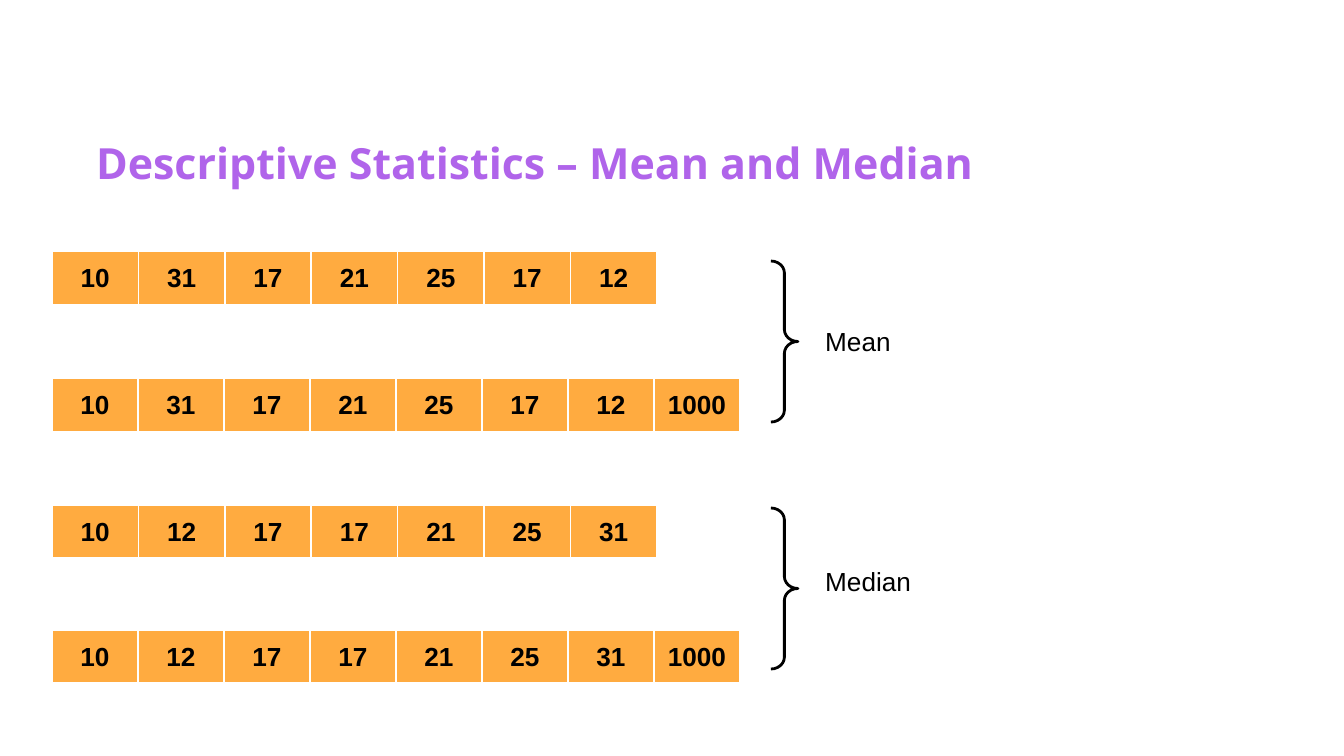
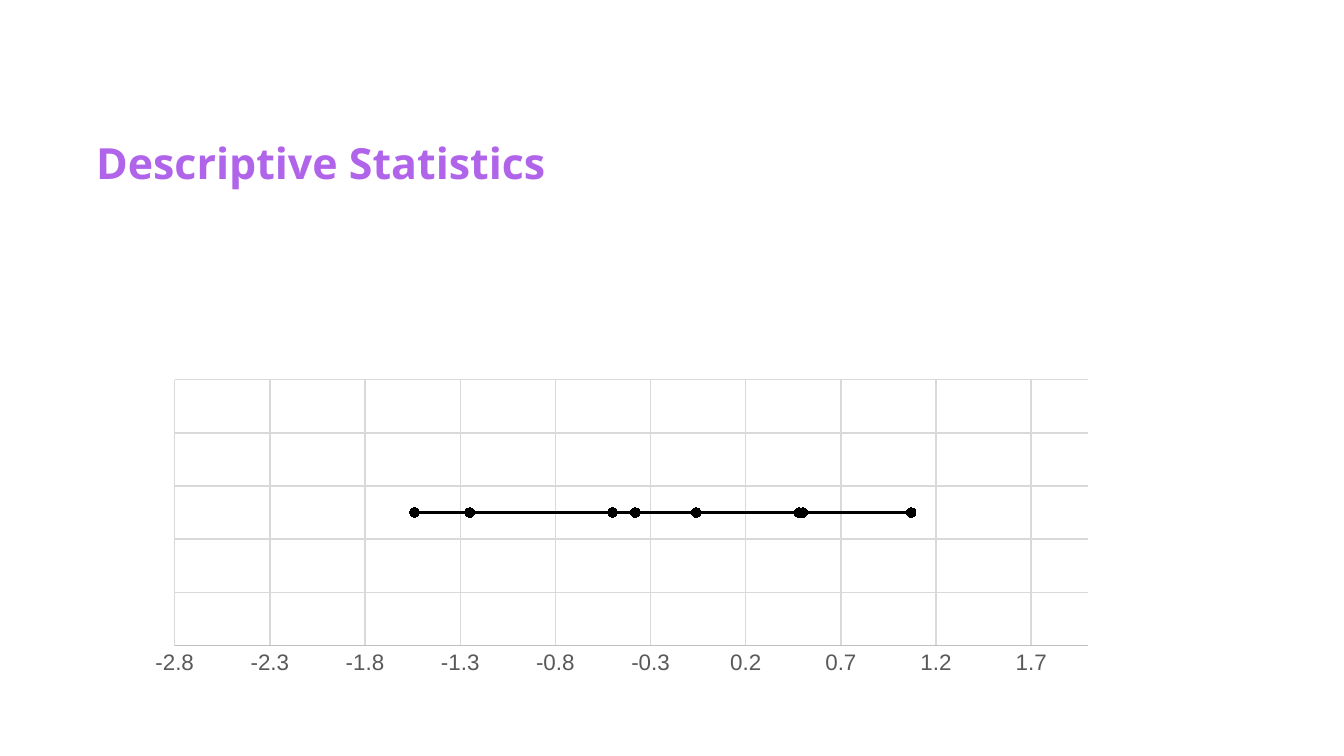
from lxml.etree import SubElement
from pptx import Presentation
from pptx.chart.data import XyChartData
from pptx.dml.color import RGBColor
from pptx.enum.chart import XL_CHART_TYPE, XL_MARKER_STYLE, XL_TICK_MARK
from pptx.enum.shapes import MSO_SHAPE
from pptx.enum.text import MSO_ANCHOR, MSO_AUTO_SIZE, PP_ALIGN
from pptx.oxml import parse_xml
from pptx.oxml.ns import nsdecls, qn
from pptx.util import Emu, Pt

COLORS = {"title": "B064EA", "cell": "FFAB40", "ink": "000000", "border": "FFFFFF",
          "grid": "D9D9D9", "axis": "BFBFBF", "tick": "595959"}

TITLES = ["Descriptive Statistics – Mean and Median", "Descriptive Statistics"]
SAMPLE = [10, 31, 17, 21, 25, 17, 12]
OUTLIER = 1000
ROWS = [
    (251, SAMPLE),
    (378, SAMPLE + [OUTLIER]),
    (505, sorted(SAMPLE)),
    (630, sorted(SAMPLE + [OUTLIER])),
]
ROW_LEFT, ROW_HEIGHT = 52, 55
ROW_WIDTHS = {7: 605, 8: 688}
BRACES = [("Mean", 261, 319, 93), ("Median", 508, 559, 113)]

X_VALUES = [-0.38, -1.25, 1.07, 0.5, -0.5, 0.5, 0.48, -0.06, -1.54]
Y_VALUE = 100
PLOT = {"x": 0.03, "y": 0.09, "w": 0.92, "h": 0.78}


def px(n):
    return Emu(round(n * 914400 / 134.4))


def box(*lengths):
    return [px(n) for n in lengths]


def rgb(name):
    return RGBColor.from_string(COLORS[name])


def style_font(font, size, color="ink", name="Arial", bold=False):
    font.size, font.name, font.bold = Pt(size), name, bold
    font.color.rgb = rgb(color)


def style_line(line, color, width):
    line.color.rgb = rgb(color)
    line.width = Pt(width)


def add_slide(prs, title):
    slide = prs.slides.add_slide(prs.slide_layouts[6])
    tf = slide.shapes.add_textbox(*box(83, 124, 1011, 73)).text_frame
    tf.word_wrap = True
    tf.margin_left = tf.margin_right = tf.margin_top = tf.margin_bottom = px(13)
    tf.text = title
    p = tf.paragraphs[0]
    p.space_after = Pt(16)
    style_font(p.runs[0].font, 23, "title", "Noto Sans", True)
    return slide


def set_borders(cell):
    tcPr = cell._tc.get_or_add_tcPr()
    for i, (side, width) in enumerate([("L", 1), ("R", 1), ("T", 1), ("B", 3)]):
        tcPr.insert(i, parse_xml(
            f'<a:ln{side} {nsdecls("a")} w="{Pt(width)}"><a:solidFill>'
            f'<a:srgbClr val="{COLORS["border"]}"/></a:solidFill></a:ln{side}>'))


def add_row(slide, top, values):
    width = ROW_WIDTHS[len(values)]
    table = slide.shapes.add_table(
        1, len(values), *box(ROW_LEFT, top, width, ROW_HEIGHT)).table
    table.first_row = table.horz_banding = False
    for i, value in enumerate(values):
        table.columns[i].width = px(width / len(values))
        cell = table.cell(0, i)
        cell.text = str(value)
        cell.vertical_anchor = MSO_ANCHOR.MIDDLE
        cell.fill.solid()
        cell.fill.fore_color.rgb = rgb("cell")
        set_borders(cell)
        p = cell.text_frame.paragraphs[0]
        p.alignment = PP_ALIGN.CENTER
        style_font(p.runs[0].font, 14, bold=True)


def add_brace(slide, label, top, label_top, label_width):
    sp = slide.shapes.add_shape(MSO_SHAPE.LEFT_BRACE, *box(771, top, 27, 161))
    sp.adjustments[0], sp.adjustments[1] = 0.44, 0.5
    sp._element.spPr.xfrm.set("flipH", "1")
    sp.shadow.inherit = False
    sp.fill.background()
    style_line(sp.line, "ink", 1.5)
    tf = slide.shapes.add_textbox(*box(812, label_top, label_width, 46)).text_frame
    tf.word_wrap = False
    tf.auto_size = MSO_AUTO_SIZE.SHAPE_TO_FIT_TEXT
    tf.text = label
    style_font(tf.paragraphs[0].runs[0].font, 14)


def set_plot_layout(chart):
    plot_area = chart._chartSpace.chart.plotArea
    for old in plot_area.findall(qn("c:layout")):
        plot_area.remove(old)
    layout = parse_xml(f'<c:layout {nsdecls("c")}/>')
    manual = SubElement(layout, qn("c:manualLayout"))
    settings = {"layoutTarget": "inner", "xMode": "edge", "yMode": "edge", **PLOT}
    for tag, val in settings.items():
        SubElement(manual, qn(f"c:{tag}")).set("val", str(val))
    plot_area.insert(0, layout)


def add_scatter(slide):
    data = XyChartData()
    series = data.add_series("Series 1")
    for x in X_VALUES:
        series.add_data_point(x, Y_VALUE)
    chart = slide.shapes.add_chart(
        XL_CHART_TYPE.XY_SCATTER_SMOOTH, *box(145, 349, 993, 341), data).chart
    chart.has_title = chart.has_legend = False
    style_font(chart.font, 10)
    set_plot_layout(chart)
    plot = chart.plots[0]
    plot.vary_by_categories = False

    x_axis, y_axis = chart.category_axis, chart.value_axis
    for axis, low, high, step in [(x_axis, -2.8, 2, 0.5), (y_axis, 80, 120, 8)]:
        axis.minimum_scale, axis.maximum_scale, axis.major_unit = low, high, step
        axis.has_major_gridlines = True
        style_line(axis.major_gridlines.format.line, "grid", 0.75)
        axis.major_tick_mark = axis.minor_tick_mark = XL_TICK_MARK.NONE
    y_axis.visible = False
    style_line(x_axis.format.line, "axis", 0.75)
    style_font(x_axis.tick_labels.font, 12, "tick")
    x_axis.tick_labels.number_format = "0.0"
    x_axis.tick_labels.number_format_is_linked = False

    line = plot.series[0]
    line.smooth = True
    style_line(line.format.line, "ink", 1.5)
    line.marker.style, line.marker.size = XL_MARKER_STYLE.CIRCLE, 5
    line.marker.format.fill.solid()
    line.marker.format.fill.fore_color.rgb = rgb("ink")
    style_line(line.marker.format.line, "ink", 0.75)


def main():
    prs = Presentation()
    prs.slide_width, prs.slide_height = box(1344, 756)
    averages, spread = [add_slide(prs, title) for title in TITLES]
    for top, values in ROWS:
        add_row(averages, top, values)
    for brace in BRACES:
        add_brace(averages, *brace)
    add_scatter(spread)
    prs.save("out.pptx")


if __name__ == "__main__":
    main()
